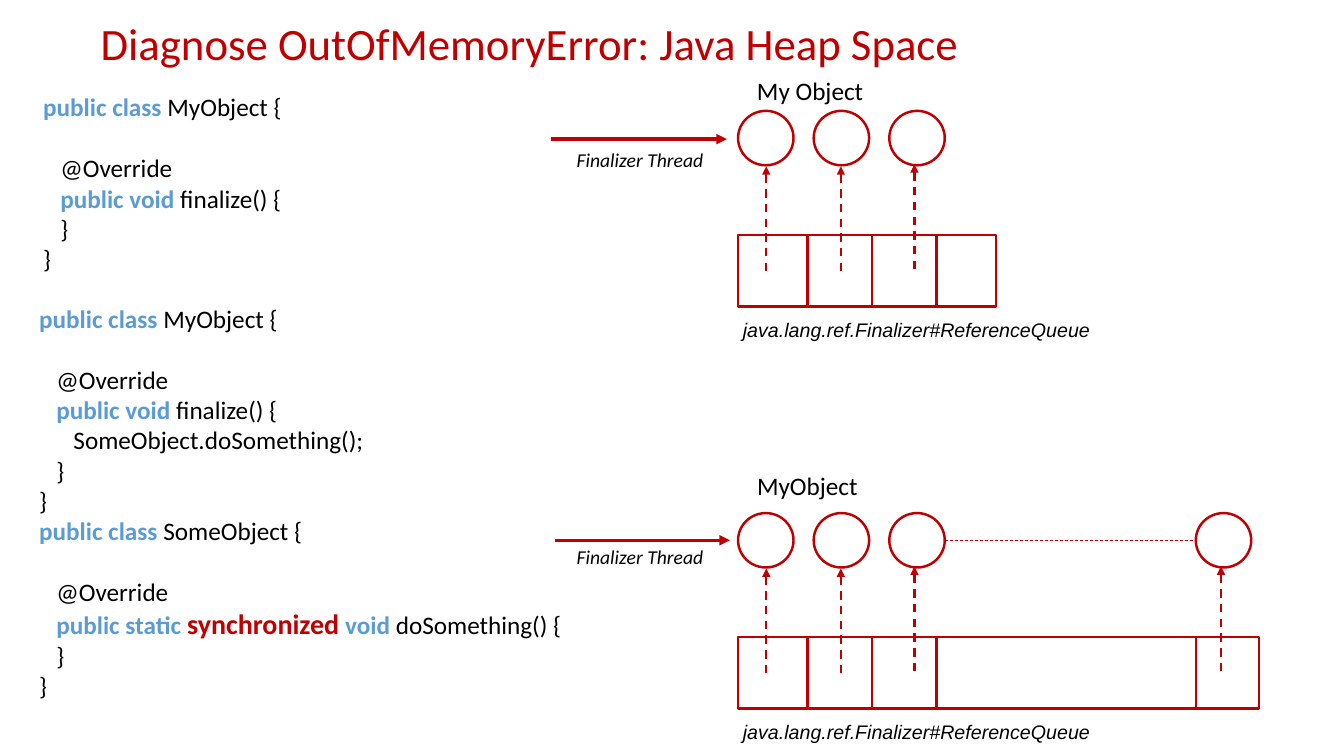
from pptx import Presentation
from pptx import util as u
from pptx.dml.color import RGBColor
from pptx.enum import dml, shapes, text
from pptx.oxml.ns import qn
from lxml import etree

PX = 9144
RED, BLUE, BLACK, WHITE = "C00000", "5B9BD5", "000000", "FFFFFF"
rgb = RGBColor.from_string

prs = Presentation()
prs.slide_width, prs.slide_height = 1333 * PX, 750 * PX
s = prs.slides.add_slide(prs.slide_layouts[6])


def add_text(x, y, w, h, lines, wrap=False):
    tf = s.shapes.add_textbox(x * PX, y * PX, w * PX, h * PX).text_frame
    tf.word_wrap = wrap
    for i, (indent, runs) in enumerate(lines):
        p = tf.add_paragraph() if i else tf.paragraphs[0]
        p._p.get_or_add_pPr().set("marL", str(indent * 17 * PX))
        for words, size, color, bold, italic, font in runs:
            r = p.add_run()
            r.text = words
            r.font.size, r.font.name = u.Pt(size), font
            r.font.bold, r.font.italic = bold, italic
            r.font.color.rgb = rgb(color)
        if p.text.startswith("@"):
            p.space_before = u.Pt(22)
    return tf


def add_line(x1, y1, x2, y2, width, color=RED, dash=False, arrow=False):
    c = s.shapes.add_connector(
        shapes.MSO_CONNECTOR.STRAIGHT, x1 * PX, y1 * PX, x2 * PX, y2 * PX)
    c.line.width = u.Pt(width)
    c.line.color.rgb = rgb(color)
    if dash:
        c.line.dash_style = dml.MSO_LINE.DASH
    if arrow:
        etree.SubElement(c.line._ln, qn("a:tailEnd"), type="triangle")
    etree.SubElement(c._element.spPr, qn("a:effectLst"))


title = "Diagnose OutOfMemoryError: Java Heap Space"
tf = add_text(90, -27, 1150, 145,
              [(0, [(title, 32, RED, False, False, "Calibri")])], True)
tf.vertical_anchor = text.MSO_ANCHOR.MIDDLE
tf.paragraphs[0].line_spacing = 0.9

keyword = (18, BLUE, True, False, "Calibri")
plain = (18, BLACK, False, False, "Calibri")
strong = (20, RED, True, False, "Calibri")

class_start = [
    (0, [("public class ", *keyword), ("MyObject {", *plain)]),
    (1, [("@Override", *plain)]),
    (1, [("public void ", *keyword), ("finalize() {", *plain)]),
]
class_end = [(1, [("}", *plain)]), (0, [("}", *plain)])]
some_object = [
    (0, [("public class ", *keyword), ("SomeObject {", *plain)]),
    (1, [("@Override", *plain)]),
    (1, [("public static ", *keyword), ("synchronized", *strong),
         (" void ", *keyword), ("doSomething() {", *plain)]),
]
call = [(2, [("SomeObject.doSomething();", *plain)])]

add_text(33, 86, 452, 192, class_start + class_end, True)
add_text(29, 296, 545, 407,
         class_start + call + class_end + some_object + class_end, True)

queues = [
    ("My Object", 127, 70, 110, 256, [732, 807, 882], [801, 865, 929],
     [760, 834, 907], 547, 138, 142),
    ("MyObject", 121, 462, 509, 517, [732, 807, 882, 1186],
     [801, 865, 929, 1186], [760, 834, 907, 1211], 550, 536, 536),
]
for (name, name_w, name_y, top, queue_w, circles, dividers, arrows,
     thread_x, thread_y, thread_label_y) in queues:
    queue_y = top + 123
    outlines = [(shapes.MSO_SHAPE.OVAL, x, top, 55, 54) for x in circles]
    outlines.append((shapes.MSO_SHAPE.RECTANGLE, 732, queue_y, queue_w, 71))
    for kind, x, y, w, h in outlines:
        sp = s.shapes.add_shape(kind, x * PX, y * PX, w * PX, h * PX)
        sp.shadow.inherit = False
        sp.fill.solid()
        sp.fill.fore_color.rgb = rgb(WHITE)
        sp.line.color.rgb = rgb(RED)
        sp.line.width = u.Pt(1.75)
    for x in dividers:
        add_line(x, queue_y, x, queue_y + 71, 1.75)
    for i, x in enumerate(arrows):
        lift = 2 if i > 1 else 0
        add_line(x, top + 159 - lift, x, top + 55 - lift, 1.5,
                 dash=True, arrow=True)
    add_line(thread_x, thread_y, thread_x + 174, thread_y, 2.5, arrow=True)
    labels = [
        (name, 741, name_y, name_w, 40, plain),
        ("Finalizer Thread", 562, thread_label_y, 147, 34,
         (14, BLACK, False, True, "Calibri")),
        ("java.lang.ref.Finalizer#ReferenceQueue", 727, top + 200, 366, 34,
         (14, BLACK, False, True, "Arial")),
    ]
    for words, x, y, w, h, style in labels:
        add_text(x, y, w, h, [(0, [(words, *style)])])

add_line(937, 536, 1186, 536, 0.5, RED, dash=True)

prs.save("out.pptx")
